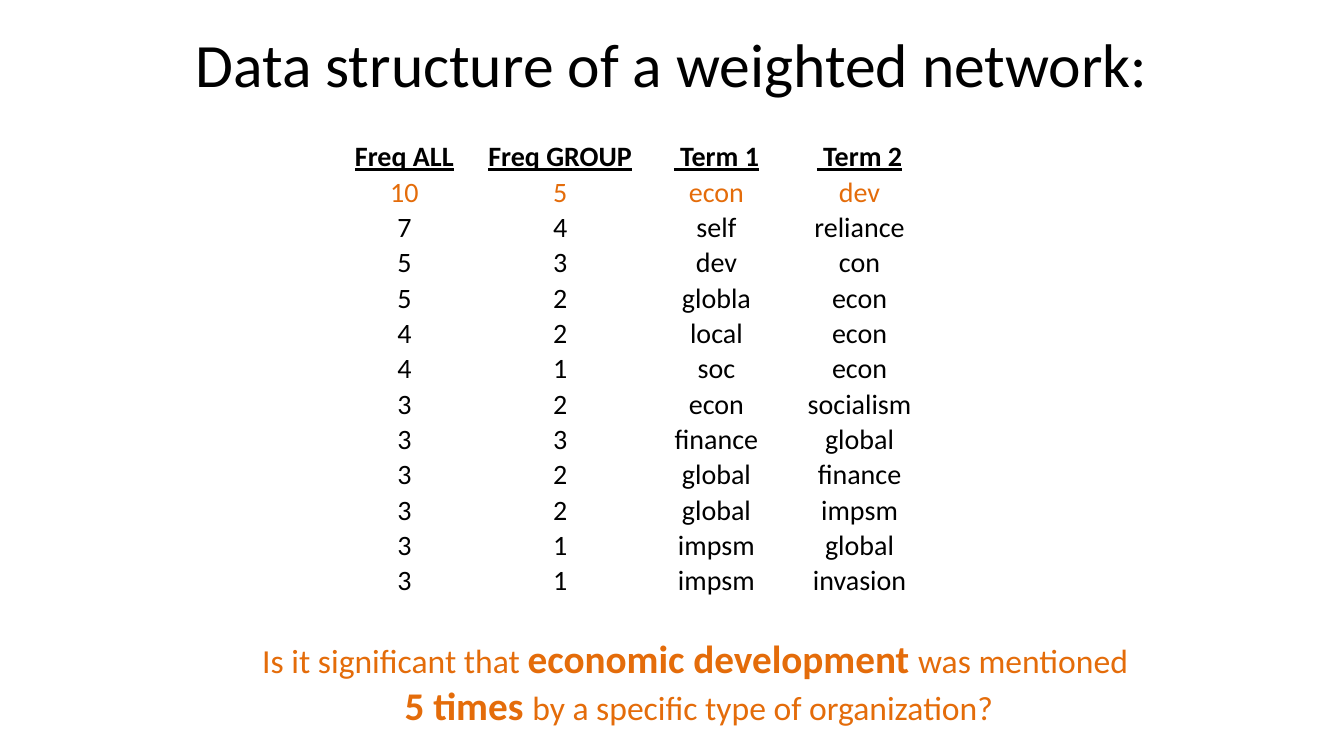
from pptx import Presentation
from pptx.dml.color import RGBColor
from pptx.enum.text import MSO_ANCHOR as Anchor, PP_ALIGN as Align
from pptx.util import Inches, Pt

WIDE, HIGH = 13.33, 7.5
BLACK, ORANGE = "000000", "E46C0A"
COLS = [1.41, 1.68, 1.42, 1.42]
ROW = 4.48 / 13
HEADS = ["Freq ALL", "Freq GROUP", " Term 1", " Term 2"]
PAIRS = [
    (10, 5, "econ", "dev"),
    (7, 4, "self", "reliance"),
    (5, 3, "dev", "con"),
    (5, 2, "globla", "econ"),
    (4, 2, "local", "econ"),
    (4, 1, "soc", "econ"),
    (3, 2, "econ", "socialism"),
    (3, 3, "finance", "global"),
    (3, 2, "global", "finance"),
    (3, 2, "global", "impsm"),
    (3, 1, "impsm", "global"),
    (3, 1, "impsm", "invasion"),
]
ASK = [
    [("Is it significant that ", False), ("economic development ", True),
     ("was mentioned ", False)],
    [("5 times ", True), ("by a specific type of organization?", False)],
]


def share(x, y, w, h):
    """Turn shares of the slide's size into left, top, width, height."""
    return [Inches(part * full)
            for part, full in zip((x, y, w, h), (WIDE, HIGH) * 2)]


def add_run(para, text, size, color=BLACK, bold=False, under=False):
    para.alignment = Align.CENTER
    run = para.add_run()
    run.text = text
    font = run.font
    font.name, font.size = "Calibri", Pt(size)
    font.bold, font.underline = bold, under
    font.color.rgb = RGBColor.from_string(color)


def set_title(slide, text):
    title = slide.shapes.title
    title.left, title.top, title.width, title.height = share(0.05, 0, 0.9, 1 / 6)
    frame = title.text_frame
    frame.vertical_anchor = Anchor.MIDDLE
    add_run(frame.paragraphs[0], text, 44)


def fill_cell(cell, text, **style):
    cell.fill.background()
    cell.vertical_anchor = Anchor.BOTTOM
    cell.margin_left = cell.margin_right = cell.margin_top = Inches(0.01)
    cell.margin_bottom = 0
    add_run(cell.text_frame.paragraphs[0], str(text), 20, **style)


def add_grid(slide):
    rows = [HEADS] + PAIRS
    spot = share(0.248, 0.184, sum(COLS) / WIDE, ROW * len(rows) / HIGH)
    table = slide.shapes.add_table(len(rows), len(COLS), *spot).table
    table.first_row = table.horz_banding = False
    for col, width in zip(table.columns, COLS):
        col.width = Inches(width)
    for r, row in enumerate(rows):
        head = r == 0
        color = ORANGE if r == 1 else BLACK
        for c, text in enumerate(row):
            fill_cell(table.cell(r, c), text, color=color, bold=head, under=head)


def add_ask(slide):
    box = slide.shapes.add_textbox(*share(0.1845, 0.833, 0.671, 0.139))
    frame = box.text_frame
    frame.word_wrap = False
    para = frame.paragraphs[0]
    for n, line in enumerate(ASK):
        if n:
            para.add_line_break()
        for text, bold in line:
            add_run(para, text, 28 if bold else 24, ORANGE, bold)


def main():
    deck = Presentation()
    deck.slide_width, deck.slide_height = Inches(WIDE), Inches(HIGH)
    slide = deck.slides.add_slide(deck.slide_layouts[5])
    add_grid(slide)
    set_title(slide, "Data structure of a weighted network:")
    add_ask(slide)
    deck.save("out.pptx")


if __name__ == "__main__":
    main()
